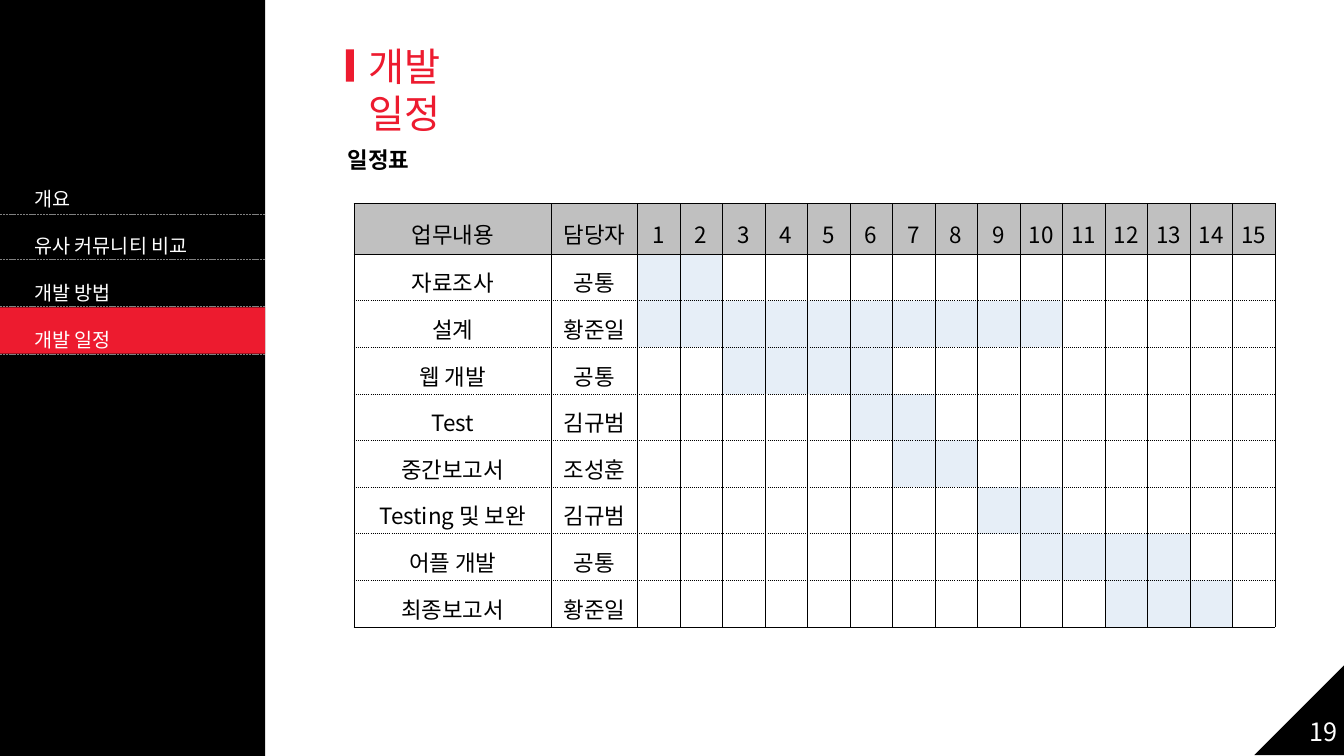
import pptx
import pptx.util
import pptx.dml.color
import pptx.enum.dml
import pptx.enum.shapes
import pptx.enum.text
import pptx.oxml.ns
from lxml import etree

Inches, Pt = pptx.util.Inches, pptx.util.Pt
SHAPE = pptx.enum.shapes.MSO_SHAPE
ALIGN = pptx.enum.text.PP_ALIGN
ANCHOR = pptx.enum.text.MSO_ANCHOR
COLORS = {"black": "000000", "white": "FFFFFF", "red": "ED1B2F", "gray": "808080",
          "header": "C0C0C0", "bar": "E6EEF7"}
MENU = ["개요", "유사 커뮤니티 비교", "개발 방법", "개발 일정"]
WEEKS = 15
TASKS = [
    ("자료조사", "공통", 1, 2),
    ("설계", "황준일", 1, 10),
    ("웹 개발", "공통", 3, 6),
    ("Test", "김규범", 6, 7),
    ("중간보고서", "조성훈", 7, 8),
    ("Testing 및 보완", "김규범", 9, 10),
    ("어플 개발", "공통", 10, 13),
    ("최종보고서", "황준일", 12, 14),
]


def rgb(name):
    return pptx.dml.color.RGBColor.from_string(COLORS[name])


def sub(parent, tag, **attrs):
    return etree.SubElement(parent, pptx.oxml.ns.qn(tag), **attrs)


class Deck:
    """Holds the style and the current slide."""

    def __init__(self, prs, font):
        self.font = font
        self.s = prs.slides.add_slide(prs.slide_layouts[1])

    def set_text(self, tf, text, size, color, spacing=1.0, bold=False, align=ALIGN.LEFT):
        tf.text = text
        for p in tf.paragraphs:
            p.alignment, p.line_spacing = align, spacing
            p.space_before = Pt(0)
            for r in p.runs:
                r.font.name, r.font.size, r.font.bold = self.font, Pt(size), bold
                r.font.color.rgb = rgb(color)
                sub(r.font._element, "a:ea", typeface=self.font)

    def fit(self, tf, wrap=True):
        tf.word_wrap = wrap
        tf.vertical_anchor = ANCHOR.TOP
        tf.auto_size = pptx.enum.text.MSO_AUTO_SIZE.SHAPE_TO_FIT_TEXT

    def placeholder(self, idx, box, text, size, color, spacing=1.0):
        sp = self.s.placeholders[idx]
        sp.left, sp.top, sp.width, sp.height = map(Inches, box)
        self.s.shapes._spTree.append(sp._element)
        self.fit(sp.text_frame)
        self.set_text(sp.text_frame, text, size, color, spacing)
        for p in sp.text_frame.paragraphs:
            pPr = p._p.get_or_add_pPr()
            pPr.set("marL", "0")
            pPr.set("indent", "0")
            sub(pPr, "a:buNone")
        return sp

    def text(self, box, text, size, color, spacing=1.0, bold=False, wrap=True):
        tf = self.s.shapes.add_textbox(*map(Inches, box)).text_frame
        self.fit(tf, wrap)
        self.set_text(tf, text, size, color, spacing, bold)

    def shape(self, kind, box, color, rotation=0):
        sp = self.s.shapes.add_shape(kind, *map(Inches, box))
        sp.shadow.inherit = False
        sp.fill.solid()
        sp.fill.fore_color.rgb = rgb(color)
        sp.line.fill.background()
        sp.rotation = rotation

    def rule(self, y, width):
        line = self.s.shapes.add_connector(
            pptx.enum.shapes.MSO_CONNECTOR.STRAIGHT, 0, Inches(y), Inches(width), Inches(y))
        line.line.color.rgb = rgb("gray")
        line.line.width = Pt(0.5)
        line.line.dash_style = pptx.enum.dml.MSO_LINE.SQUARE_DOT
        sub(line._element.spPr, "a:effectLst")

    def cell(self, cell, text, fill, top, bottom):
        cell.margin_left = cell.margin_right = Inches(0.03)
        cell.margin_top = cell.margin_bottom = Inches(0.02)
        cell.vertical_anchor = ANCHOR.MIDDLE
        if text:
            self.set_text(cell.text_frame, text, 16, "black", 1.3, align=ALIGN.CENTER)
        tcPr = cell._tc.get_or_add_tcPr()
        for side, dash in zip("LRTB", ("solid", "solid", top, bottom)):
            ln = sub(tcPr, f"a:ln{side}", w=str(Pt(0.28)))
            sub(sub(ln, "a:solidFill"), "a:srgbClr", val=COLORS["black"])
            sub(ln, "a:prstDash", val=dash)
        cell.fill.solid()
        cell.fill.fore_color.rgb = rgb(fill)

    def schedule(self, box, task_width, owner_width, header_height):
        rows, cols = len(TASKS) + 1, WEEKS + 2
        table = self.s.shapes.add_table(rows, cols, *map(Inches, box)).table
        week_width = (box[2] - task_width - owner_width) / WEEKS
        for col, width in zip(table.columns, [task_width, owner_width] + [week_width] * WEEKS):
            col.width = Inches(width)
        task_height = (box[3] - header_height) / len(TASKS)
        for row, height in zip(table.rows, [header_height] + [task_height] * len(TASKS)):
            row.height = Inches(height)
        heads = ["업무내용", "담당자"] + [str(week + 1) for week in range(WEEKS)]
        for c, head in enumerate(heads):
            self.cell(table.cell(0, c), head, "header", "solid", "solid")
        for r, (task, owner, first, last) in enumerate(TASKS, 1):
            top = "solid" if r == 1 else "sysDot"
            bottom = "solid" if r == len(TASKS) else "sysDot"
            for c in range(cols):
                text = (task, owner)[c] if c < 2 else ""
                fill = "bar" if first <= c - 1 <= last else "white"
                self.cell(table.cell(r, c), text, fill, top, bottom)


def main():
    prs = pptx.Presentation()
    prs.slide_width, prs.slide_height = Inches(13.33), Inches(7.5)
    deck = Deck(prs, "Noto Sans CJK KR")
    title = deck.placeholder(0, (3.55, 0.37, 1.69, 0.52), "개발 일정", 28, "red")
    title.text_frame.margin_bottom = 0
    deck.shape(SHAPE.RECTANGLE, (3.43, 0.49, 0.08, 0.32), "red")
    sidebar = 2.63
    deck.shape(SHAPE.RECTANGLE, (0, 0, sidebar, 7.5), "black")
    deck.shape(SHAPE.RECTANGLE, (0, 3.05, sidebar, 0.46), "red")
    deck.placeholder(1, (0.24, 1.57, 2.16, 1.99), "\n".join(MENU), 14, "white", 2.0)
    for y in (2.13, 2.57, 3.04, 3.52):
        deck.rule(y, sidebar)
    deck.shape(SHAPE.RIGHT_TRIANGLE, (12.44, 6.6, 0.89, 0.89), "black", 270)
    deck.text((12.89, 7.06, 0.48, 0.4), "19", 18, "white", wrap=False)
    deck.text((3.35, 1.13, 9.09, 0.55), "일정표", 16, "black", 2.0, bold=True)
    deck.schedule((3.51, 2.02, 9.14, 4.2), 1.96, 0.85, 0.5)
    prs.save("out.pptx")


if __name__ == "__main__":
    main()
